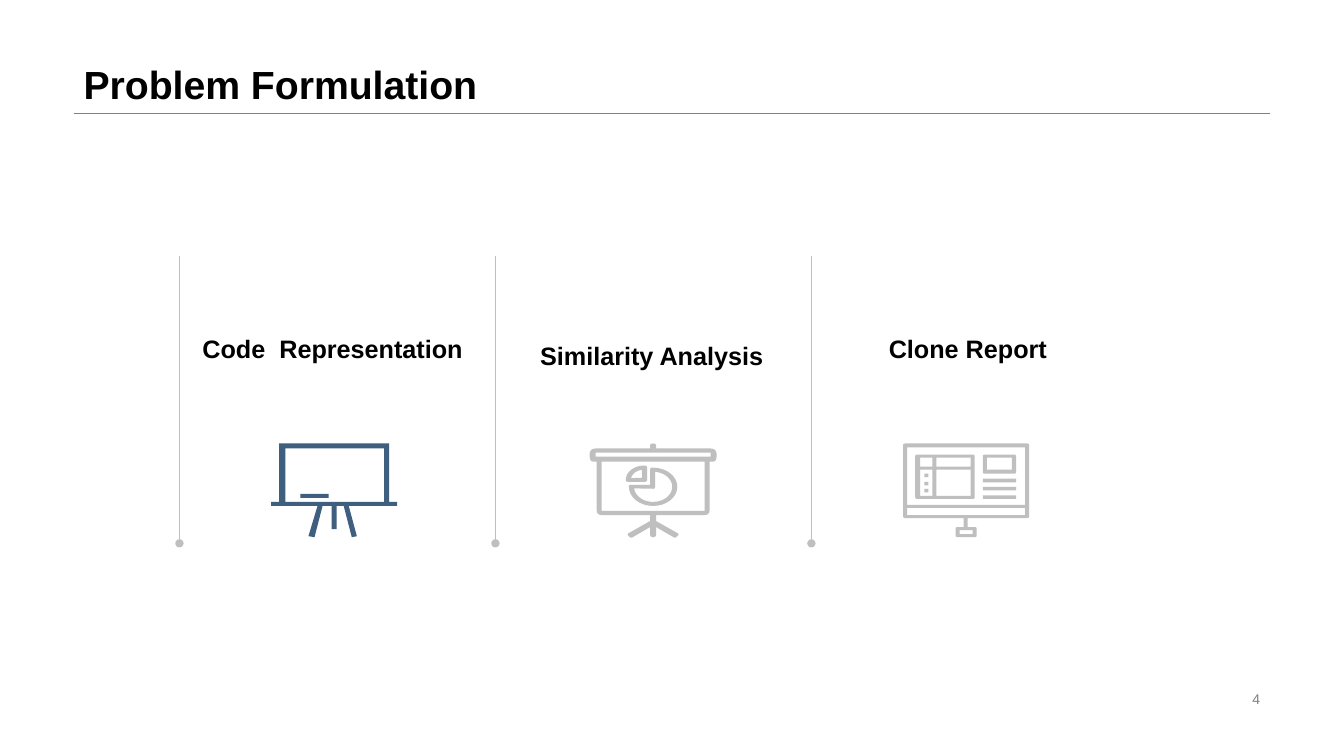
from math import cos, radians, sin

from lxml.etree import SubElement
from pptx import Presentation
from pptx.dml.color import RGBColor
from pptx.enum.shapes import MSO_CONNECTOR
from pptx.enum.text import MSO_ANCHOR, PP_ALIGN
from pptx.oxml.ns import qn
from pptx.util import Pt

THEME = {
    "font": "Arial",
    "ink": RGBColor(0x00, 0x00, 0x00),
    "muted": RGBColor(0x80, 0x80, 0x80),
    "pale": RGBColor(0xBF, 0xBF, 0xBF),
    "accent": RGBColor(0x2B, 0x4E, 0x72),
    "title": 28,
    "label": 18,
    "number": 10,
}


def box(left, top, right, bottom, radius=0):
    return [(x, y, radius) for x, y in
            ((left, top), (right, top), (right, bottom), (left, bottom))]


def arc(cx, cy, rx, ry, start, end, steps=24):
    angles = [radians(start + (end - start) * i / steps) for i in range(steps + 1)]
    return [(cx + rx * cos(a), cy + ry * sin(a)) for a in angles]


WHITEBOARD = [
    box(29, 50, 57, 54),
    box(14, 5, 112, 58),
    [(8, 0), (117, 0), (117, 58), (125, 58), (125, 62), (77, 62), (85, 92),
     (80, 93), (72, 62), (65, 62), (65, 85), (60, 85), (60, 62), (51, 62),
     (43, 93), (37, 92), (46, 62), (0, 62), (0, 58), (8, 58)],
]
PROJECTOR = [
    arc(63, 43, 24, 19, -90, 180) + [(39, 41, 2), (60, 41), (60, 24, 3)],
    arc(63, 43, 19, 15, -84, 174) + [(65, 45, 2)],
    arc(54, 36, 18, 14, 180, 270) + [(57, 22, 3), (57, 38, 2), (36, 38, 2)],
    arc(54, 36, 13, 10, 189, 261) + [(52, 34)],
    box(12, 18, 114, 67),
    box(6, 9, 120, 13),
    [(60, 5), (60, 0, 3), (66, 0, 3), (66, 5), (126, 5, 6), (126, 18, 6),
     (119, 18), (119, 71, 5), (66, 71), (66, 77), (89, 90, 2), (85, 94, 2),
     (66, 83), (66, 93, 3), (60, 93, 3), (60, 83), (41, 94, 2), (37, 90, 2),
     (60, 77), (60, 71), (7, 71, 5), (7, 18), (0, 18, 6), (0, 5, 6)],
]
MONITOR = [
    box(56, 86, 69, 90),
    box(4, 64, 121, 71),
    *[box(79, y, 112, y + 3.5) for y in (35, 43, 51.5)],
    *[box(21, y, 25, y + 3.5) for y in (30, 38, 45)],
    *[box(l, t, r, b) for l, r in ((17, 29), (33, 67)) for t, b in ((14, 23), (26, 52))],
    box(83, 14, 108, 26),
    box(79, 11, 112, 30, 2),
    box(12, 11, 71, 55, 2),
    box(4, 4, 121, 61),
    [(0, 0, 2), (125, 0, 2), (125, 74, 2), (64, 74), (64, 83), (73, 83, 2),
     (73, 93, 2), (52, 93, 2), (52, 83, 2), (60, 83), (60, 74), (0, 74, 2)],
]
TITLE = "Problem Formulation"
PAGE = "4"
STEPS = [
    {"label": "Code  Representation", "label_x": 137.5, "label_h": 30.2,
     "anchor": MSO_ANCHOR.BOTTOM, "spacing": 1.0,
     "icon": WHITEBOARD, "icon_x": 193.7, "color": "accent", "alpha": 90},
    {"label": "Similarity Analysis", "label_x": 378.7, "label_h": 43.9,
     "anchor": MSO_ANCHOR.TOP, "spacing": 1.3,
     "icon": PROJECTOR, "icon_x": 421.2, "color": "pale", "alpha": 100},
    {"label": "Clone Report", "label_x": 627.8, "label_h": 30.2,
     "anchor": MSO_ANCHOR.BOTTOM, "spacing": 1.0,
     "icon": MONITOR, "icon_x": 645.1, "color": "pale", "alpha": 100},
]
MARGIN, CONTENT_W, TITLE_H = 52.6, 854.6, 80.6
RULE_X, RULE_PITCH, RULE_TOP, RULE_BOTTOM = 128.2, 225.7, 182.9, 388.1
LABEL_Y, LABEL_W, ICON_Y, ICON_UNIT = 233.3, 203, 316.8, 0.72


def add_text(s, text, x, y, w, h, size, color="ink", bold=True,
             anchor=MSO_ANCHOR.BOTTOM, align=PP_ALIGN.LEFT, spacing=1.0):
    tf = s.shapes.add_textbox(Pt(x), Pt(y), Pt(w), Pt(h)).text_frame
    tf.word_wrap = True
    tf.vertical_anchor = anchor
    p = tf.paragraphs[0]
    p.text = text
    p.alignment = align
    p.line_spacing = spacing
    p.font.name = THEME["font"]
    p.font.size = Pt(THEME[size])
    p.font.bold = bold
    p.font.color.rgb = THEME[color]


def add_rule(s, x1, y1, x2, y2, color, dot=False):
    sp = s.shapes.add_connector(MSO_CONNECTOR.STRAIGHT, Pt(x1), Pt(y1), Pt(x2), Pt(y2))
    sp.line.color.rgb = THEME[color]
    sp.line.width = Pt(0.25)
    if dot:
        SubElement(sp.line._get_or_add_ln(), qn("a:tailEnd"), type="oval")
    SubElement(sp._element.spPr, qn("a:effectLst"))


def rounded(contour):
    result = []
    for i, (x, y, *radius) in enumerate(contour):
        if not radius or not radius[0]:
            result.append((x, y))
            continue
        ends = []
        for nx, ny, *_ in (contour[i - 1], contour[(i + 1) % len(contour)]):
            length = ((nx - x) ** 2 + (ny - y) ** 2) ** 0.5
            k = min(radius[0] / length, 0.5)
            ends.append((x + (nx - x) * k, y + (ny - y) * k))
        (ax, ay), (bx, by) = ends
        for t in (0, 0.25, 0.5, 0.75, 1):
            a, c, b = (1 - t) ** 2, 2 * t * (1 - t), t ** 2
            result.append((a * ax + c * x + b * bx, a * ay + c * y + b * by))
    return result


def add_icon(s, contours, x, y, color, alpha):
    outlines = [[(Pt(px * ICON_UNIT), Pt(py * ICON_UNIT)) for px, py in rounded(c)]
                for c in contours]
    builder = s.shapes.build_freeform(*outlines[0][0])
    for i, outline in enumerate(outlines):
        if i:
            builder.move_to(*outline[0])
        builder.add_line_segments(outline[1:], close=True)
    sp = builder.convert_to_shape(Pt(x), Pt(y))
    sp.shadow.inherit = False
    sp.line.fill.background()
    sp.fill.solid()
    sp.fill.fore_color.rgb = THEME[color]
    if alpha < 100:
        rgb = sp._element.spPr.find(qn("a:solidFill"))[0]
        SubElement(rgb, qn("a:alpha"), val=str(alpha * 1000))


def main():
    prs = Presentation()
    prs.slide_width, prs.slide_height = Pt(960), Pt(540)
    s = prs.slides.add_slide(prs.slide_layouts[6])
    add_rule(s, MARGIN, TITLE_H, MARGIN + CONTENT_W, TITLE_H, "muted")
    add_text(s, TITLE, MARGIN, 0, CONTENT_W, TITLE_H, "title", spacing=0.9)
    add_text(s, PAGE, 678.2, 491, 229, 16.6, "number", "muted", False,
             MSO_ANCHOR.MIDDLE, PP_ALIGN.RIGHT)
    for i, step in enumerate(STEPS):
        x = RULE_X + i * RULE_PITCH
        add_rule(s, x, RULE_TOP, x, RULE_BOTTOM, "pale", dot=True)
        add_icon(s, step["icon"], step["icon_x"], ICON_Y, step["color"], step["alpha"])
        add_text(s, step["label"], step["label_x"], LABEL_Y, LABEL_W, step["label_h"],
                 "label", anchor=step["anchor"], spacing=step["spacing"])
    prs.save("out.pptx")


if __name__ == "__main__":
    main()
